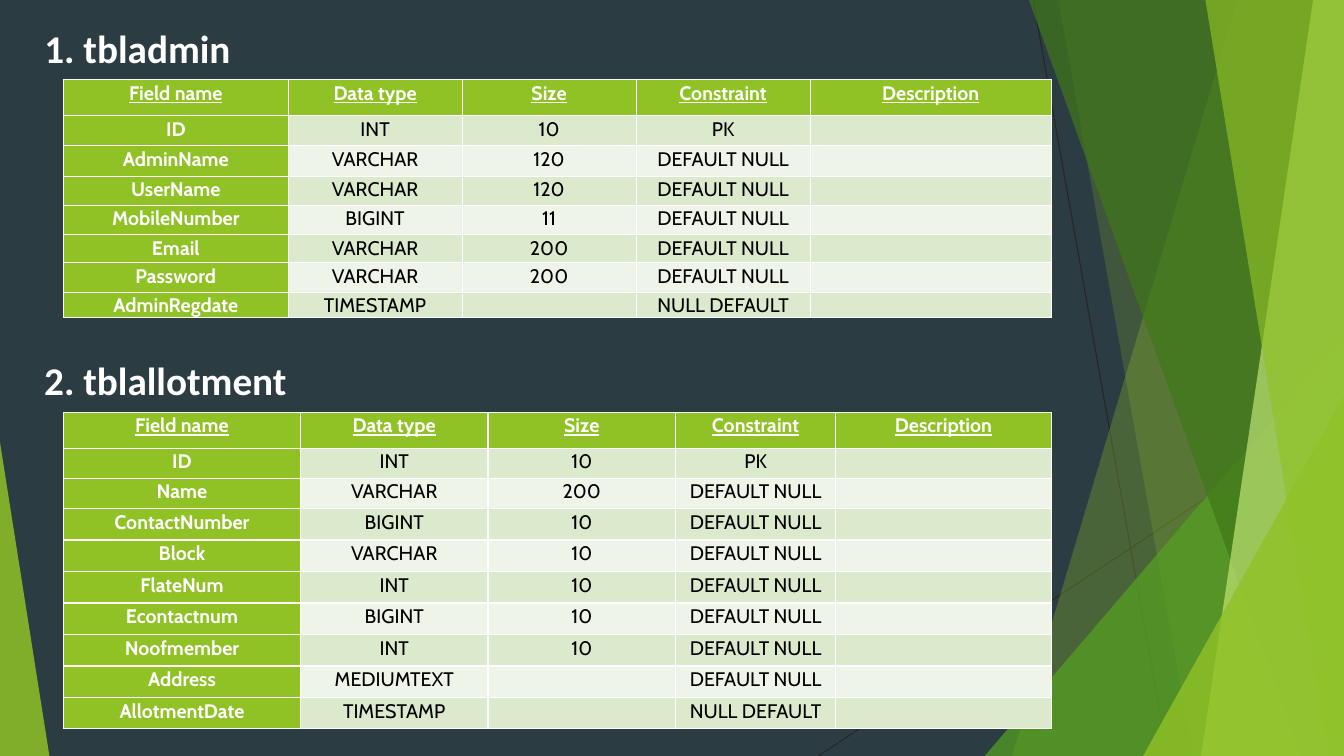
"""Build a slide with the field tables of tbladmin and tblallotment."""
from lxml import etree
from pptx import Presentation
from pptx.dml.color import RGBColor
from pptx.enum.shapes import MSO_CONNECTOR, MSO_SHAPE
from pptx.enum.text import MSO_ANCHOR, PP_ALIGN
from pptx.oxml.ns import qn
from pptx.util import Pt

STRAIGHT = MSO_CONNECTOR.STRAIGHT
TRIANGLE = MSO_SHAPE.ISOSCELES_TRIANGLE
CENTER = PP_ALIGN.CENTER
TOP, MIDDLE = MSO_ANCHOR.TOP, MSO_ANCHOR.MIDDLE

WHITE = RGBColor(0xFF, 0xFF, 0xFF)
BLACK = RGBColor(0x00, 0x00, 0x00)
SLATE = RGBColor(0x2C, 0x3C, 0x43)
CHARCOAL = RGBColor(0x26, 0x26, 0x26)
LIME = RGBColor(0x90, 0xC2, 0x26)
GREEN = RGBColor(0x54, 0xA0, 0x21)
FOREST = RGBColor(0x3F, 0x78, 0x19)
PALE_LIME = RGBColor(0xC0, 0xE4, 0x74)
BANDS = (RGBColor(0xDB, 0xE9, 0xCD), RGBColor(0xEE, 0xF4, 0xE8))

PAGE_WIDTH, PAGE_HEIGHT = 960, 540
TABLE_LEFT, TABLE_WIDTH = 45.4, 705.6
HEADING_LEFT, HEADING_HEIGHT = 24.5, 41

HEADER = ("Field name", "Data type", "Size", "Constraint", "Description")
ADMIN_FIELDS = [
    ("ID", "INT", "10", "PK", ""),
    ("AdminName", "VARCHAR", "120", "DEFAULT NULL", ""),
    ("UserName", "VARCHAR", "120", "DEFAULT NULL", ""),
    ("MobileNumber", "BIGINT", "11", "DEFAULT NULL", ""),
    ("Email", "VARCHAR", "200", "DEFAULT NULL", ""),
    ("Password", "VARCHAR", "200", "DEFAULT NULL", ""),
    ("AdminRegdate", "TIMESTAMP", "", "NULL DEFAULT", ""),
]
ALLOTMENT_FIELDS = [
    ("ID", "INT", "10", "PK", ""),
    ("Name", "VARCHAR", "200", "DEFAULT NULL", ""),
    ("ContactNumber", "BIGINT", "10", "DEFAULT NULL", ""),
    ("Block", "VARCHAR", "10", "DEFAULT NULL", ""),
    ("FlateNum", "INT", "10", "DEFAULT NULL", ""),
    ("Econtactnum", "BIGINT", "10", "DEFAULT NULL", ""),
    ("Noofmember", "INT", "10", "DEFAULT NULL", ""),
    ("Address", "MEDIUMTEXT", "", "DEFAULT NULL", ""),
    ("AllotmentDate", "TIMESTAMP", "", "NULL DEFAULT", ""),
]
TABLES = [
    (56.9, ADMIN_FIELDS, (160.4, 124.3, 124.3, 124.3, 172.3),
     (25.6, 21.6, 21.8, 20.8, 20.8, 20, 21.4, 18)),
    (294.5, ALLOTMENT_FIELDS, (169.2, 134, 134, 114.3, 154.1),
     (25.6, 21.6, 21.6) + (22.5,) * 7),
]

RAYS = [(738, 0, 834, PAGE_HEIGHT), (PAGE_WIDTH, 290, 584.6, PAGE_HEIGHT)]
BACK_SHARDS = [(884, 723, LIME, 30), (756, 852, LIME, 20)]
BACK_WEDGES = [(703.4, 239.8, 256.6, 1, GREEN, 72)]
FRONT_SHARDS = [(735, 929.5, FOREST, 70), (938, 858, PALE_LIME, 70), (861, 949, LIME, 65)]
FRONT_WEDGES = [(816.5, 283, 143.5, 1, LIME, 80), (0, 316, 35.3, 0, LIME, 85)]


def paint(shape, color, opacity):
    """Give a shape a translucent fill without outline or shadow."""
    shape.shadow.inherit = False
    shape.fill.solid()
    shape.fill.fore_color.rgb = color
    shape.line.fill.background()
    color_node = shape.fill._xPr.find(qn("a:solidFill"))[0]
    etree.SubElement(color_node, qn("a:alpha")).set("val", str(opacity * 1000))


def add_rays(page):
    """Draw the thin lines behind the shards."""
    for ends in RAYS:
        ray = page.shapes.add_connector(STRAIGHT, *(Pt(value) for value in ends))
        ray.line.color.rgb = CHARCOAL
        ray.line.width = Pt(0.75)
        etree.SubElement(ray._element.spPr, qn("a:effectLst"))


def add_shards(page, shards):
    """Draw full-height shards from a slanted left edge to the page's right edge."""
    for top_x, bottom_x, color, opacity in shards:
        builder = page.shapes.build_freeform(Pt(top_x), 0)
        corners = ((PAGE_WIDTH, 0), (PAGE_WIDTH, PAGE_HEIGHT), (bottom_x, PAGE_HEIGHT))
        builder.add_line_segments([(Pt(x), Pt(y)) for x, y in corners])
        paint(builder.convert_to_shape(), color, opacity)


def add_wedges(page, wedges):
    """Draw triangles standing on the bottom edge of the page."""
    for left, top, width, apex, color, opacity in wedges:
        wedge = page.shapes.add_shape(
            TRIANGLE, Pt(left), Pt(top), Pt(width), Pt(PAGE_HEIGHT - top))
        wedge.adjustments[0] = apex
        paint(wedge, color, opacity)


def write_heading(box, text, top, width):
    """Place a heading box and write its text."""
    box.left, box.top = Pt(HEADING_LEFT), Pt(top)
    box.width, box.height = Pt(width), Pt(HEADING_HEIGHT)
    frame = box.text_frame
    frame.word_wrap = False
    frame.vertical_anchor = MIDDLE
    para = frame.paragraphs[0]
    para.alignment = PP_ALIGN.LEFT
    span = para.add_run()
    span.text = text
    span.font.name, span.font.size = "Calibri", Pt(28)
    span.font.bold = True
    span.font.color.rgb = WHITE


def write_cell(cell, text, is_header, is_key, band):
    """Fill one table cell and write its text."""
    cell.margin_top = cell.margin_bottom = 0
    cell.vertical_anchor = TOP
    cell.fill.solid()
    cell.fill.fore_color.rgb = LIME if is_key else band
    para = cell.text_frame.paragraphs[0]
    para.alignment = CENTER
    para.line_spacing = 1.07
    if not text:
        etree.SubElement(para._p, qn("a:endParaRPr")).set("sz", "1400")
        return
    span = para.add_run()
    span.text = text
    span.font.name, span.font.size = "Cabin", Pt(14)
    span.font.bold = is_key
    span.font.underline = is_header
    span.font.color.rgb = WHITE if is_key else BLACK


def add_field_table(page, top, fields, widths, heights):
    """Add one table of field definitions."""
    rows = [HEADER] + fields
    table = page.shapes.add_table(
        len(rows), len(HEADER), Pt(TABLE_LEFT), Pt(top),
        Pt(TABLE_WIDTH), Pt(sum(heights))).table
    table.first_col = True
    for column, width in zip(table.columns, widths):
        column.width = Pt(width)
    for row_index, (texts, height) in enumerate(zip(rows, heights)):
        table.rows[row_index].height = Pt(height)
        is_header = row_index == 0
        for column_index, text in enumerate(texts):
            is_key = is_header or column_index == 0
            write_cell(table.cell(row_index, column_index), text,
                       is_header, is_key, BANDS[(row_index + 1) % 2])


def main():
    """Assemble and save the slide."""
    deck = Presentation()
    deck.slide_width, deck.slide_height = Pt(PAGE_WIDTH), Pt(PAGE_HEIGHT)
    page = deck.slides.add_slide(deck.slide_layouts[5])
    page.background.fill.solid()
    page.background.fill.fore_color.rgb = SLATE
    add_rays(page)
    add_shards(page, BACK_SHARDS)
    add_wedges(page, BACK_WEDGES)
    add_shards(page, FRONT_SHARDS)
    add_wedges(page, FRONT_WEDGES)
    write_heading(page.shapes.title, "1. tbladmin", 13.7, 151)
    write_heading(page.shapes.add_textbox(0, 0, 0, 0), "2. tblallotment", 250.6, 190)
    for table in TABLES:
        add_field_table(page, *table)
    deck.save("out.pptx")


if __name__ == "__main__":
    main()
